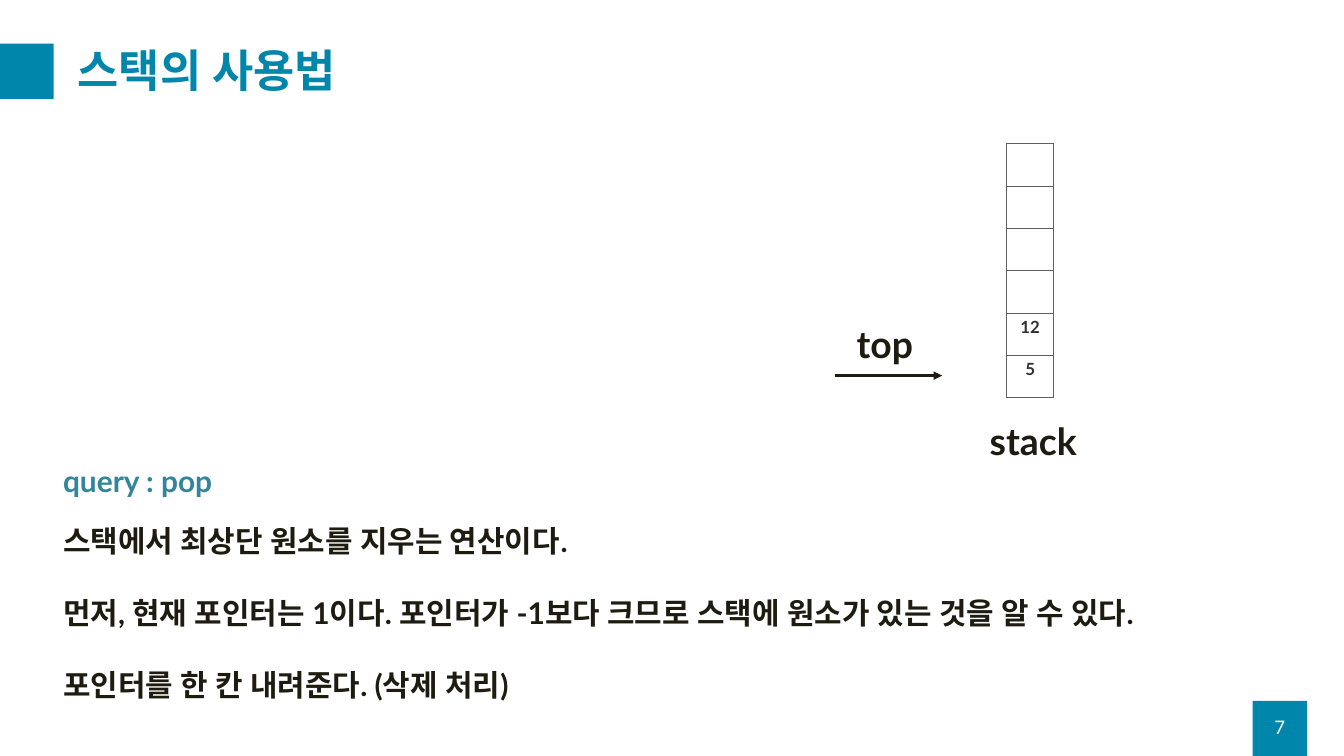
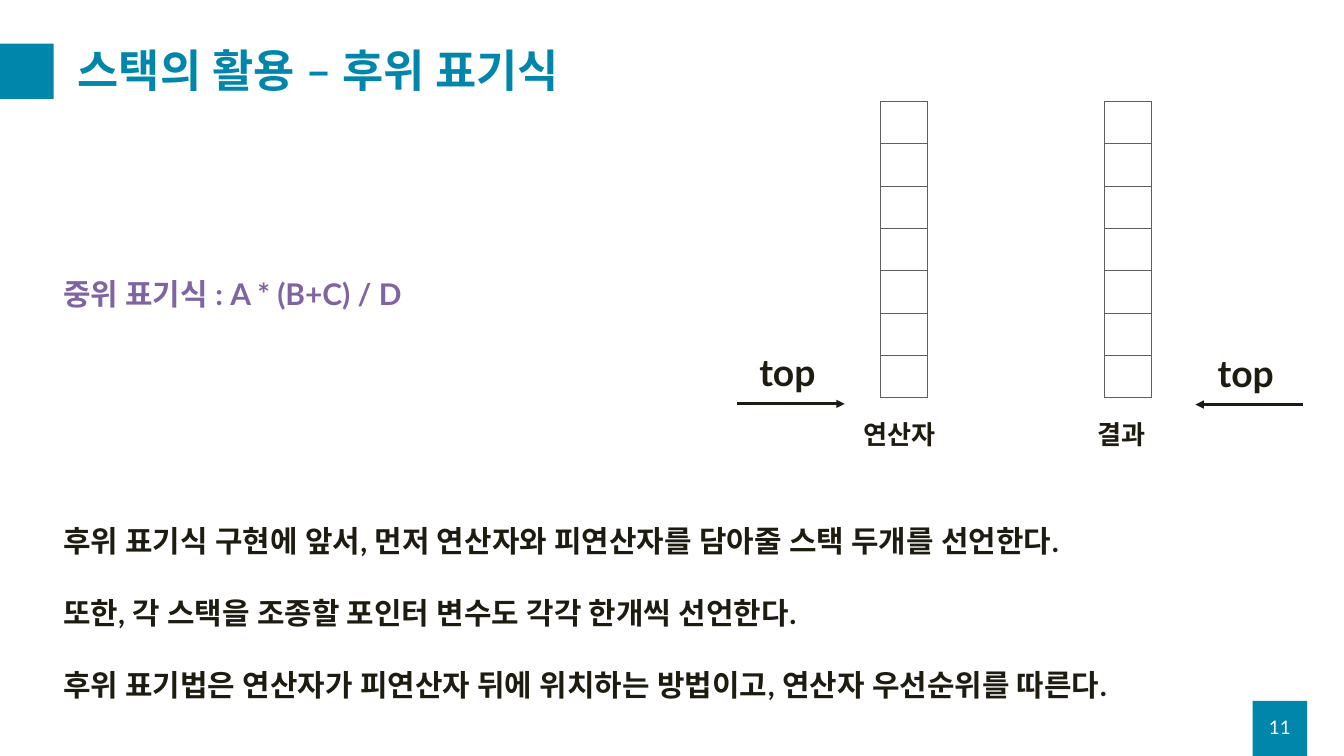
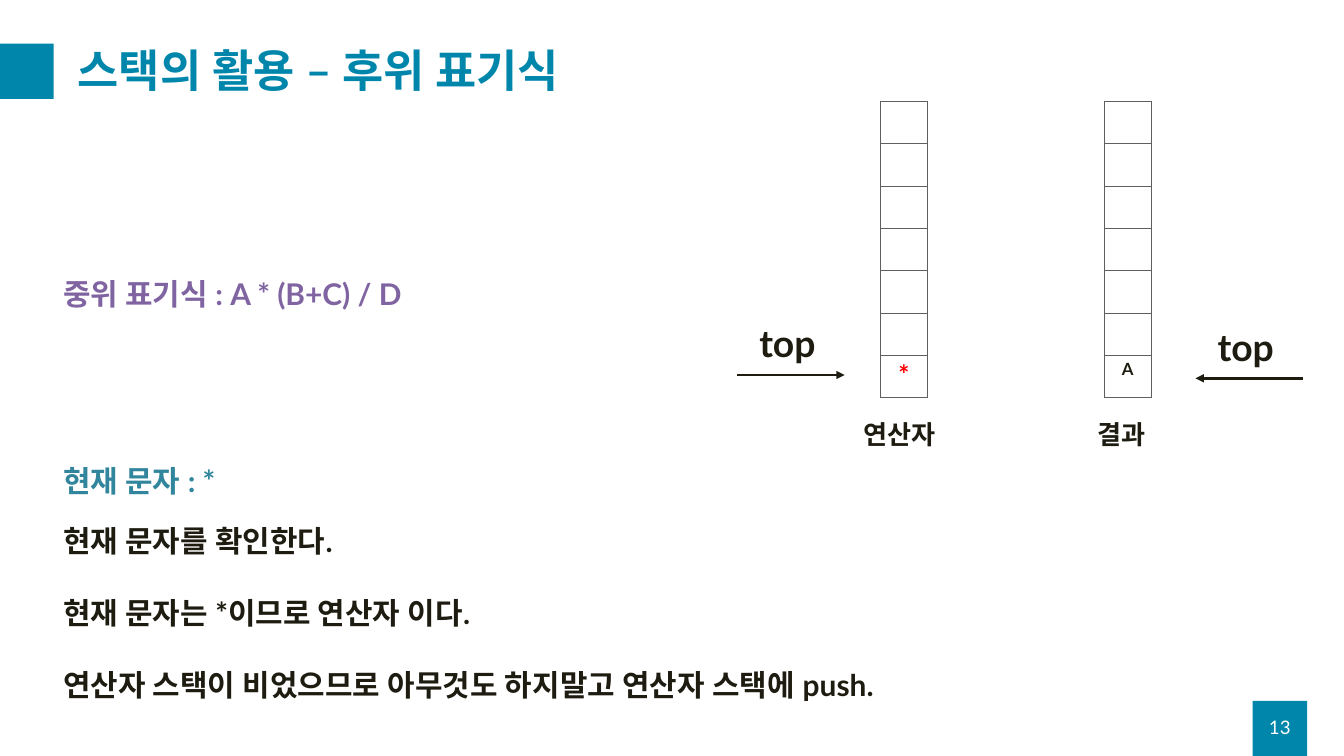
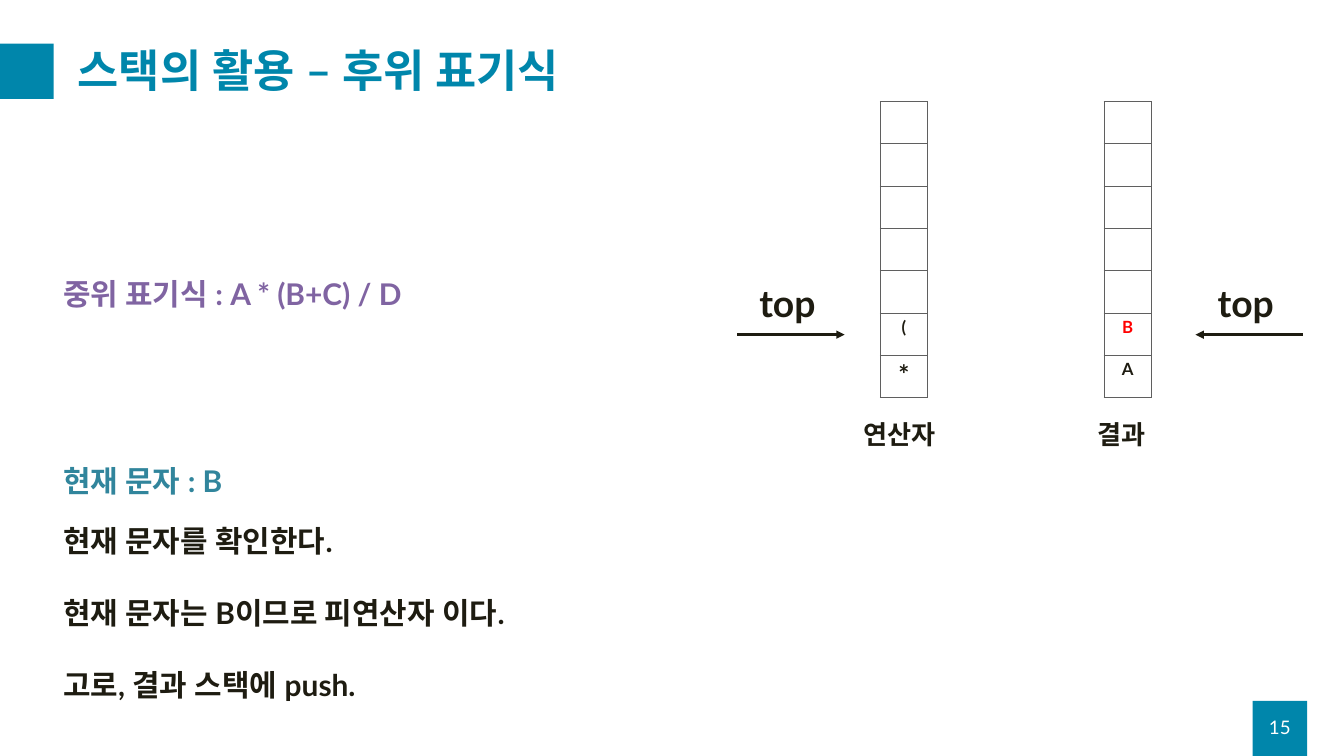
from pptx import Presentation
from pptx.dml.color import RGBColor
from pptx.enum.shapes import MSO_CONNECTOR, MSO_SHAPE
from pptx.enum.text import MSO_ANCHOR, MSO_AUTO_SIZE, PP_ALIGN
from pptx.oxml.ns import qn
from pptx.util import Pt
from lxml.etree import SubElement

PX = 9144  # 100 px to the inch
FONT = "Lato"
TEAL = RGBColor(0x00, 0x86, 0xAB)
BLUE = RGBColor(0x31, 0x85, 0x9C)
PURPLE = RGBColor(0x80, 0x64, 0xA2)
INK = RGBColor(0x1E, 0x1C, 0x11)
GRAY = RGBColor(0x30, 0x30, 0x30)
RED = RGBColor(0xFF, 0x00, 0x00)
WHITE = RGBColor(0xFF, 0xFF, 0xFF)
GRID = "5F5F5F"

POSTFIX = "스택의 활용 – 후위 표기식"
INFIX = "중위 표기식 : A * (B+C) / D"

# Where each stack stands, its caption (left, width, size) and its arrow
PLACES = {
    "stack": dict(x=1498, label=(1463, 171, 40), arrow=1242, end="tailEnd"),
    "연산자": dict(x=1310, label=(1275, 171, 28), arrow=1097, end="tailEnd"),
    "결과": dict(x=1643, label=(1624, 215, 28), arrow=1779, end="headEnd"),
}

# Each stack: name, number of cells, height of its arrow,
# items from the bottom up (text, size, colour)
SLIDES = [
    dict(page=7, title="스택의 사용법", infix=None, query="query : pop",
         stacks=[("stack", 6, 559, [("5", 18, GRAY), ("12", 18, GRAY)])],
         body=["스택에서 최상단 원소를 지우는 연산이다.",
               "먼저, 현재 포인터는 1이다. 포인터가 -1보다 크므로 스택에 원소가 있는 것을 알 수 있다.",
               "포인터를 한 칸 내려준다. (삭제 처리)"]),
    dict(page=11, title=POSTFIX, infix=INFIX, query=None,
         stacks=[("연산자", 7, 601, []), ("결과", 7, 602, [])],
         body=["후위 표기식 구현에 앞서, 먼저 연산자와 피연산자를 담아줄 스택 두개를 선언한다.",
               "또한, 각 스택을 조종할 포인터 변수도 각각 한개씩 선언한다.",
               "후위 표기법은 연산자가 피연산자 뒤에 위치하는 방법이고, 연산자 우선순위를 따른다."]),
    dict(page=13, title=POSTFIX, infix=INFIX, query="현재 문자 : *",
         stacks=[("연산자", 7, 558, [("*", 28, RED)]),
                 ("결과", 7, 563, [("A", 18, INK)])],
         body=["현재 문자를 확인한다.",
               "현재 문자는 *이므로 연산자 이다.",
               "연산자 스택이 비었으므로 아무것도 하지말고 연산자 스택에 push."]),
    dict(page=15, title=POSTFIX, infix=INFIX, query="현재 문자 : B",
         stacks=[("연산자", 7, 498, [("*", 28, INK), ("(", 18, INK)]),
                 ("결과", 7, 498, [("A", 18, INK), ("B", 18, RED)])],
         body=["현재 문자를 확인한다.",
               "현재 문자는 B이므로 피연산자 이다.",
               "고로, 결과 스택에 push."]),
]

CELL_W, CELL_H, FLOOR = 70, 63, 592
LEFT = 84


def px(*nums):
    return [n * PX for n in nums]


def style(para, size, color, bold=True):
    for run in para.runs:
        font = run.font
        font.name, font.size, font.bold = FONT, Pt(size), bold
        font.color.rgb = color
        SubElement(run._r.get_or_add_rPr(), qn("a:ea"), typeface=FONT)


def write(slide, box, lines, size, color, bold=True, fixed=False):
    """Add a text box; a fixed one is centred vertically, others grow."""
    frame = slide.shapes.add_textbox(*px(*box)).text_frame
    frame.word_wrap = True
    if fixed:
        frame.auto_size = MSO_AUTO_SIZE.NONE
        frame.vertical_anchor = MSO_ANCHOR.MIDDLE
    else:
        frame.auto_size = MSO_AUTO_SIZE.SHAPE_TO_FIT_TEXT
    frame.text = "\n".join(lines)
    for i, para in enumerate(frame.paragraphs):
        if i:
            para.space_before = Pt(size * 1.2)  # one empty line
        style(para, size, color, bold)
    return frame


def block(slide, x, y):
    shape = slide.shapes.add_shape(MSO_SHAPE.RECTANGLE, *px(x, y, 81, 82))
    shape.shadow.inherit = False
    shape.fill.solid()
    shape.fill.fore_color.rgb = TEAL
    shape.line.fill.background()


def frame_page(slide, title, page):
    block(slide, 1864, 1043)
    block(slide, -1, 65)
    head = write(slide, (106, 50, 1825, 118), [title], 48, TEAL, fixed=True)
    head.paragraphs[0].line_spacing = 0.9
    num = write(slide, (1864, 1052, 81, 60), [str(page)], 20, WHITE,
                bold=False, fixed=True)
    num.paragraphs[0].alignment = PP_ALIGN.CENTER


def border(cell):
    props = cell._tc.get_or_add_tcPr()
    for side in ("lnL", "lnR", "lnT", "lnB"):
        line = SubElement(props, qn("a:" + side), w=str(Pt(1)))
        fill = SubElement(line, qn("a:solidFill"))
        SubElement(fill, qn("a:srgbClr"), val=GRID)


def draw_cells(slide, x, count, items):
    high = count * CELL_H
    table = slide.shapes.add_table(
        count, 1, *px(x, FLOOR - high, CELL_W, high)).table
    table.first_row = table.horz_banding = False
    for i in range(count):
        cell = table.cell(count - 1 - i, 0)
        border(cell)
        cell.fill.background()
        if i < len(items):
            text, size, color = items[i]
            cell.text = text
            para = cell.text_frame.paragraphs[0]
            para.alignment = PP_ALIGN.CENTER
            style(para, size, color)


def draw_top(slide, x, y, end):
    """Arrow marking the top of a stack, with its word above."""
    line = slide.shapes.add_connector(
        MSO_CONNECTOR.STRAIGHT, *px(x, y, x + 160, y))
    line.line.color.rgb = INK
    line.line.width = Pt(3)
    SubElement(line.line._get_or_add_ln(), qn("a:" + end), type="triangle")
    SubElement(line._element.spPr, qn("a:effectLst"))
    write(slide, (x + 23, y - 86, 171, 77), ["top"], 40, INK)


def draw_stack(slide, name, count, top, items):
    place = PLACES[name]
    draw_cells(slide, place["x"], count, items)
    x, wide, size = place["label"]
    write(slide, (x, 618, wide, 57), [name], size, INK)
    draw_top(slide, place["arrow"], top, place["end"])


def main():
    deck = Presentation()
    deck.slide_width, deck.slide_height = px(2000, 1125)
    for data in SLIDES:
        slide = deck.slides.add_slide(deck.slide_layouts[6])
        frame_page(slide, data["title"], data["page"])
        if data["infix"]:
            write(slide, (LEFT, 406, 580, 64), [data["infix"]], 32, PURPLE)
        for stack in data["stacks"]:
            draw_stack(slide, *stack)
        write(slide, (LEFT, 773, 1732, 279), data["body"], 32, INK)
        if data["query"]:
            write(slide, (LEFT, 683, 580, 64), [data["query"]], 32, BLUE)
    deck.save("out.pptx")


if __name__ == "__main__":
    main()
